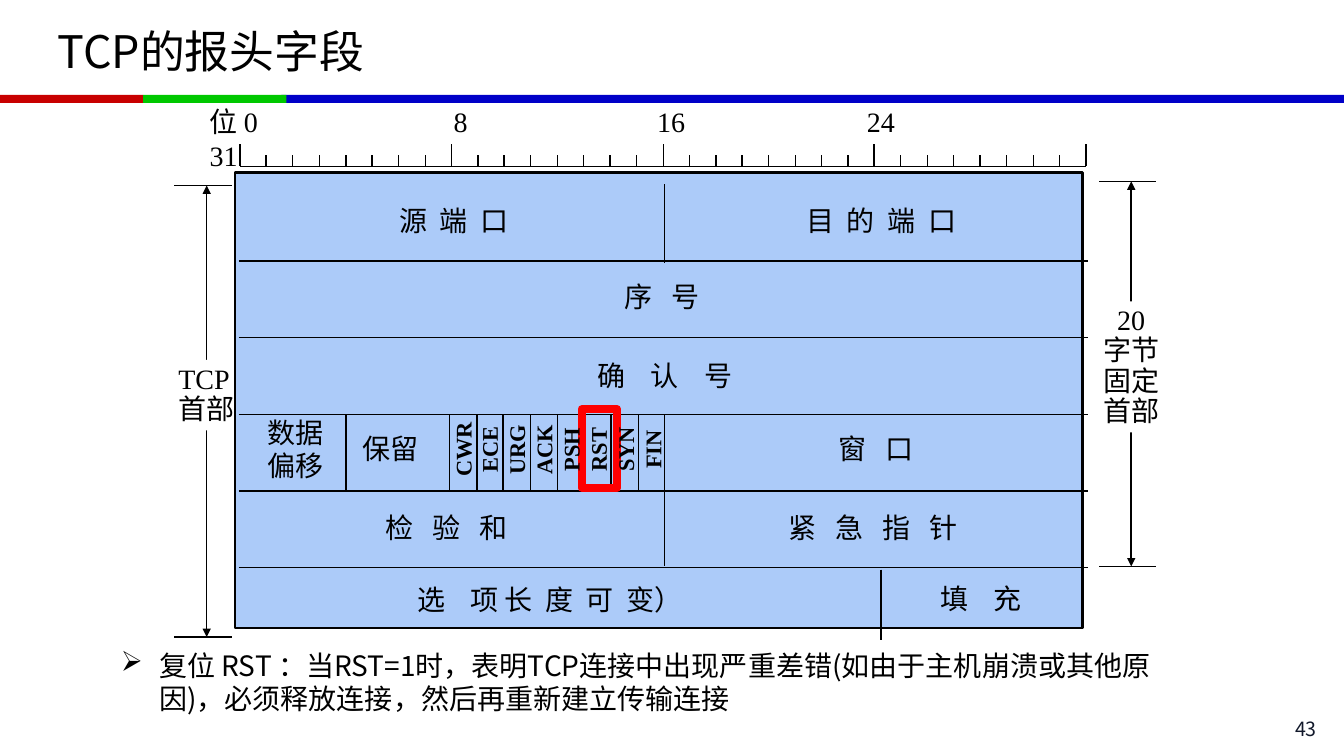
from lxml.etree import SubElement
from pptx import Presentation
from pptx.dml.color import RGBColor
from pptx.enum.shapes import MSO_CONNECTOR, MSO_SHAPE
from pptx.enum.text import MSO_ANCHOR, PP_ALIGN
from pptx.oxml.ns import qn
from pptx.util import Emu, Pt

SERIF = "Times New Roman"
SANS = "Noto Sans CJK SC"
BLACK = "000000"
GAP = 2.25  # points of letter spacing in one step


def px(length):
    """Turn px (100 to the inch) into EMU."""
    return Emu(round(length) * 9144)


def color(hex_code):
    return RGBColor.from_string(hex_code)


def add_line(slide, x1, y1, x2, y2, weight=1, arrows=False):
    line = slide.shapes.add_connector(
        MSO_CONNECTOR.STRAIGHT, px(x1), px(y1), px(x2), px(y2))
    line.line.color.rgb = color(BLACK)
    line.line.width = Pt(weight)
    if arrows:
        stroke = line.line._get_or_add_ln()
        for end in ("a:headEnd", "a:tailEnd"):
            SubElement(stroke, qn(end), type="triangle")
    SubElement(line._element.spPr, qn("a:effectLst"))


def add_box(slide, left, top, width, height, fill=None, stroke=None, weight=1):
    box = slide.shapes.add_shape(
        MSO_SHAPE.RECTANGLE, px(left), px(top), px(width), px(height))
    box.shadow.inherit = False
    if fill:
        box.fill.solid()
        box.fill.fore_color.rgb = color(fill)
    else:
        box.fill.background()
    if stroke:
        box.line.color.rgb = color(stroke)
        box.line.width = Pt(weight)
    else:
        box.line.fill.background()
    return box


def style(paragraph, size=20, name=SERIF, ink=BLACK, bold=False,
          align=PP_ALIGN.LEFT, spacing=1.0):
    paragraph.alignment = align
    paragraph.line_spacing = spacing
    font = paragraph.font
    font.size, font.name, font.bold = Pt(size), name, bold
    font.color.rgb = color(ink)


def add_text(slide, left, top, width, height, text, **look):
    label = slide.shapes.add_textbox(px(left), px(top), px(width), px(height))
    label.text_frame.word_wrap = True
    label.text_frame.text = text
    for paragraph in label.text_frame.paragraphs:
        style(paragraph, **look)
    return label


def add_field(slide, left, top, width, pieces):
    """Write a field name from (text, letter spacing steps) pieces."""
    field = add_text(slide, left, top, width, 43, "")
    paragraph = field.text_frame.paragraphs[0]
    for text, steps in pieces:
        run = paragraph.add_run()
        run.text = text
        run._r.get_or_add_rPr().set("spc", str(round(steps * GAP * 100)))


def title_bar(slide, text):
    title = slide.shapes.title
    title.left, title.top, title.width, title.height = map(px, (47, 8, 1239, 84))
    title.text_frame.text = text
    title.text_frame.vertical_anchor = MSO_ANCHOR.MIDDLE
    style(title.text_frame.paragraphs[0], size=32, name=SANS)
    for left, width, fill in ((279, 1054, "0000C8"), (0, 142, "C80000"),
                              (142, 142, "00C800")):
        add_box(slide, left, 94, width, 8, fill)


def height_span(slide, left, top, height, label_top, lines, align, weight):
    """Draw a double arrow between two end bars, with a label on it."""
    middle, bottom = left + 32, top + height
    add_line(slide, middle, top, middle, bottom, weight, arrows=True)
    label = add_box(slide, left - 6, label_top, 76, 10 + 30 * len(lines), "FFFFFF")
    label.text_frame.word_wrap = False
    label.text_frame.text = "\n".join(lines)
    for paragraph in label.text_frame.paragraphs:
        style(paragraph, align=align, spacing=0.9)
    for y in (top, bottom):
        add_line(slide, left, y, left + 57, y)


def bit_ruler(slide, left, top, width):
    base = top + 66
    add_line(slide, left, base, left + width, base)
    for bit in range(33):
        x = left + width * bit / 32
        add_line(slide, x, base - (11 if bit % 8 else 22), x, base)
    numbers = add_text(slide, left - 40, top, 904, 76, "位 0\t8\t16\t24\n31")
    for paragraph in numbers.text_frame.paragraphs:
        properties = paragraph._p.get_or_add_pPr()
        stops = SubElement(properties, qn("a:tabLst"))
        properties.find(qn("a:defRPr")).addprevious(stops)
        for position in (242, 444, 652):
            SubElement(stops, qn("a:tab"), pos=str(px(position)), algn="l")


def header_fields(slide, left, top, width, height):
    add_box(slide, left, top, width, height, "ACCBF9", BLACK, 2)
    for row in range(5):
        y = top + 88 + 76 * row
        add_line(slide, left + 4, y, left + width + 5, y)
    dividers = [(426, 12, 90), (426, 241, 391), (641, 394, 464), (110, 241, 317)]
    dividers += [(213 + 26.7 * flag, 241, 316) for flag in range(8)]
    for x, start, end in dividers:
        add_line(slide, left + x, top + start, left + x, top + end)

    fields = (
        (153, 26, 160, [("源 端 口", 1)]),
        (557, 26, 200, [("目 的 端 口", 1)]),
        (377, 101, 151, [("序 号", 2)]),
        (350, 180, 201, [("确 认 号", 3)]),
        (117, 252, 79, [("保留", 0)]),
        (589, 252, 121, [("窗 口", 2)]),
        (140, 331, 170, [("检 验 和", 2)]),
        (539, 331, 220, [("紧 急 指 针", 2)]),
        (171, 402, 350, [("选 ", 3), ("项 ", 0), ("长 度 可 ", 1), ("变）", 0)]),
        (690, 401, 137, [("填 充", 3)]),
    )
    for x, y, field_width, pieces in fields:
        add_field(slide, left + x, top + y, field_width, pieces)
    add_text(slide, left + 22, top + 236, 78, 77, "数据\n偏移")

    add_box(slide, left + 344, top + 235, 35, 78, stroke="FF0000", weight=6)
    flags = ("CWR", "ECE", "URG", "ACK", "PSH", "RST", "SYN", "FIN")
    for index, flag in enumerate(flags):
        center = left + 228.5 + 26.9 * index
        label = add_text(slide, center - 40, top + 260, 80, 30, flag, size=16,
                         bold=True, align=PP_ALIGN.CENTER, spacing=0.75)
        label.rotation = 270


def explanation(slide, left, top, width, height, text):
    note = add_text(slide, left, top, width, height, "")
    paragraph = note.text_frame.paragraphs[0]
    paragraph.text = text
    properties = paragraph._p.get_or_add_pPr()
    properties.set("marL", str(px(38)))
    properties.set("indent", str(px(-38)))
    bullet = SubElement(properties, qn("a:buChar"), char="➢")
    properties.find(qn("a:defRPr")).addprevious(bullet)
    style(paragraph, name=SANS)


def main():
    deck = Presentation()
    deck.slide_width, deck.slide_height = px(1333), px(750)
    slide = deck.slides.add_slide(deck.slide_layouts[5])
    title_bar(slide, "TCP的报头字段")
    height_span(slide, 173, 184, 448, 357, ("TCP", "首部"), PP_ALIGN.LEFT, 1)
    height_span(slide, 1090, 180, 382, 299, ("20", "字节", "固定", "首部"),
                PP_ALIGN.CENTER, 1.5)
    header_fields(slide, 233, 171, 841, 452)
    bit_ruler(slide, 238, 99, 839)
    explanation(slide, 110, 638, 1102, 77,
                "复位 RST ：当RST=1时，表明TCP连接中出现严重差错(如由于主机崩溃或其他原因)，"
                "必须释放连接，然后再重新建立传输连接")
    add_text(slide, 1186, 706, 130, 28, "43", size=14, name=SANS, ink="12192B",
             align=PP_ALIGN.RIGHT)
    deck.save("out.pptx")


if __name__ == "__main__":
    main()
